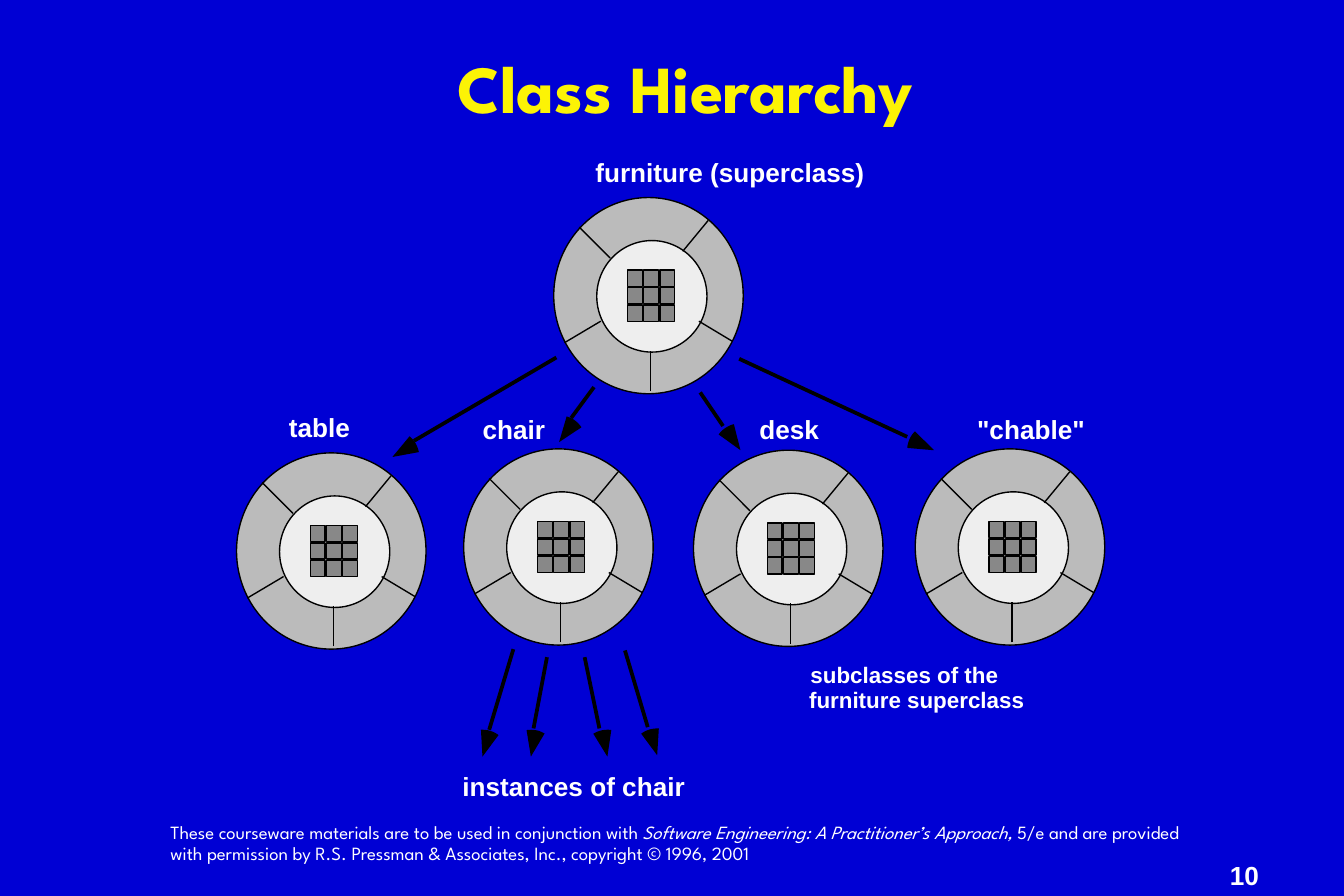
from dataclasses import dataclass
from math import atan2, cos, radians, sin

from lxml import etree
from pptx import Presentation
from pptx.dml.color import RGBColor
from pptx.enum.shapes import MSO_CONNECTOR, MSO_SHAPE
from pptx.enum.text import MSO_ANCHOR, MSO_AUTO_SIZE, PP_ALIGN
from pptx.oxml.ns import qn
from pptx.util import Pt

STRAIGHT = MSO_CONNECTOR.STRAIGHT
OVAL, RECTANGLE = MSO_SHAPE.OVAL, MSO_SHAPE.RECTANGLE
TOP, CENTER = MSO_ANCHOR.TOP, PP_ALIGN.CENTER
GROW = MSO_AUTO_SIZE.SHAPE_TO_FIT_TEXT
EMU_PER_PX = 9144  # 100 px to the inch


@dataclass(frozen=True)
class Theme:
    background: str = "0000D4"
    title: str = "FCF305"
    text: str = "FFFFFF"
    ink: str = "000000"
    ring: str = "BBBBBB"
    core: str = "EEEEEE"
    cell: str = "888888"
    display_font: str = "League Spartan"
    label_font: str = "Arial"
    title_size: int = 36
    label_size: int = 14
    note_size: int = 12
    footer_size: int = 10
    outline: float = 0.75
    shaft: int = 2


THEME = Theme()

CLASS_POSITIONS = [(412, 147), (176, 337), (345, 334), (516, 335), (681, 334)]
# Ends of the ring's dividers, measured from the symbol's top left corner
DIVIDERS = [
    ((19, 22), (42, 45)),
    ((115, 17), (96, 40)),
    ((133, 107), (108, 92)),
    ((72, 144), (72, 114)),
    ((8, 108), (35, 92)),
]
# Shaft start, shaft end, tip
ARROWS = [
    ((442, 288), (425, 311), (416, 329)),
    ((521, 292), (538, 317), (551, 335)),
    ((382, 483), (364, 543), (359, 563)),
    ((407, 489), (397, 542), (395, 563)),
    ((435, 489), (446, 542), (452, 563)),
    ((465, 484), (482, 541), (489, 562)),
    ((414, 266), (308, 328), (292, 340)),
    ((550, 267), (675, 325), (695, 335)),
]
HEAD_RADIUS = 20
HEAD_ANGLES = range(-20, 21, 5)
LABELS = [
    ("furniture (superclass)", 443, 119, 203, 21, THEME.label_size),
    ("table", 215, 309, 48, 21, THEME.label_size),
    ("chair", 359, 310, 49, 21, THEME.label_size),
    ("desk", 565, 310, 47, 21, THEME.label_size),
    ('"chable"', 727, 310, 82, 21, THEME.label_size),
    ("instances of chair", 344, 576, 168, 21, THEME.label_size),
    ("subclasses of the", 603, 494, 142, 18, THEME.note_size),
    ("furniture superclass", 602, 513, 162, 18, THEME.note_size),
]
FOOTER = [
    ("These courseware materials are to be used in conjunction with ", False),
    ("Software Engineering: A Practitioner’s Approach,", True),
    (" 5/e and are provided with permission by R.S. Pressman & Associates, Inc., "
     "copyright © 1996, 2001", False),
]


def px(*lengths):
    return [round(length * EMU_PER_PX) for length in lengths]


def color(value):
    return RGBColor.from_string(value)


def add_span(para, text, font, size, fill, bold=False, italic=False):
    span = para.add_run()
    span.text = text
    span.font.name = font
    span.font.size = Pt(size)
    span.font.color.rgb = color(fill)
    span.font.bold = bold
    span.font.italic = italic


def prepare_frame(box, margins, spacing=0.9, wrap=True):
    """Set up the box's text frame and return its first paragraph."""
    frame = box.text_frame
    frame.word_wrap = wrap
    frame.vertical_anchor = TOP
    frame.auto_size = GROW
    horizontal, vertical = px(*margins)
    frame.margin_left = frame.margin_right = horizontal
    frame.margin_top = frame.margin_bottom = vertical
    para = frame.paragraphs[0]
    para.line_spacing = spacing
    return para


def add_title(page, text):
    title = page.shapes.title
    title.left, title.top, title.width, title.height = px(315, 39, 390, 58)
    para = prepare_frame(title, (7, 3), spacing=0.88)
    para.alignment = CENTER
    add_span(para, text, THEME.display_font, THEME.title_size, THEME.title, bold=True)


def add_label(page, text, left, top, width, height, size, margins=(0, 0), wrap=False):
    box = page.shapes.add_textbox(*px(left, top, width, height))
    para = prepare_frame(box, margins, wrap=wrap)
    add_span(para, text, THEME.label_font, size, THEME.text, bold=True)


def add_footer(page):
    box = page.shapes.add_textbox(*px(117, 608, 783, 40))
    para = prepare_frame(box, (10, 5))
    for text, italic in FOOTER:
        add_span(para, text, THEME.display_font, THEME.footer_size, THEME.text,
                 italic=italic)


def add_outlined(shapes, kind, fill, left, top, width, height):
    shape = shapes.add_shape(kind, *px(left, top, width, height))
    shape.shadow.inherit = False
    shape.fill.solid()
    shape.fill.fore_color.rgb = color(fill)
    shape.line.color.rgb = color(THEME.ink)
    shape.line.width = Pt(THEME.outline)


def add_line(shapes, start, end, width):
    line = shapes.add_connector(STRAIGHT, *px(*start, *end))
    line.line.color.rgb = color(THEME.ink)
    line.line.width = Pt(width)
    etree.SubElement(line._element.spPr, qn("a:effectLst"))


def add_class_symbol(page, left, top):
    """Draw a divided ring around a three by three grid of cells."""
    shapes = page.shapes.add_group_shape().shapes
    add_outlined(shapes, OVAL, THEME.ring, left, top, 141, 146)
    add_outlined(shapes, OVAL, THEME.core, left + 32, top + 32, 82, 83)
    for row in range(3):
        for column in range(3):
            add_outlined(shapes, RECTANGLE, THEME.cell,
                         left + 55 + 12 * column, top + 54 + 13 * row, 11, 12)
    for (x1, y1), (x2, y2) in DIVIDERS:
        add_line(shapes, (left + x1, top + y1), (left + x2, top + y2), THEME.outline)


def add_arrow(page, start, end, tip):
    """Draw a shaft and a round-backed head that points along it."""
    back = atan2(start[1] - end[1], start[0] - end[0])
    arc = [
        px(tip[0] + HEAD_RADIUS * cos(back + radians(angle)),
           tip[1] + HEAD_RADIUS * sin(back + radians(angle)))
        for angle in HEAD_ANGLES
    ]
    builder = page.shapes.build_freeform(*px(*tip))
    builder.add_line_segments(arc, close=True)
    head = builder.convert_to_shape()
    head.shadow.inherit = False
    head.fill.solid()
    head.fill.fore_color.rgb = color(THEME.ink)
    head.line.fill.background()
    add_line(page.shapes, start, end, THEME.shaft)


def main():
    deck = Presentation()
    deck.slide_width, deck.slide_height = px(1000, 666.67)
    page = deck.slides.add_slide(deck.slide_layouts.get_by_name("Title Only"))
    page.background.fill.solid()
    page.background.fill.fore_color.rgb = color(THEME.background)

    add_label(page, "10", 908, 639, 108, 27, THEME.label_size, margins=(7, 3), wrap=True)
    add_footer(page)
    add_title(page, "Class Hierarchy")
    for position in CLASS_POSITIONS:
        add_class_symbol(page, *position)
    for arrow in ARROWS:
        add_arrow(page, *arrow)
    for label in LABELS:
        add_label(page, *label)
    deck.save("out.pptx")


if __name__ == "__main__":
    main()
